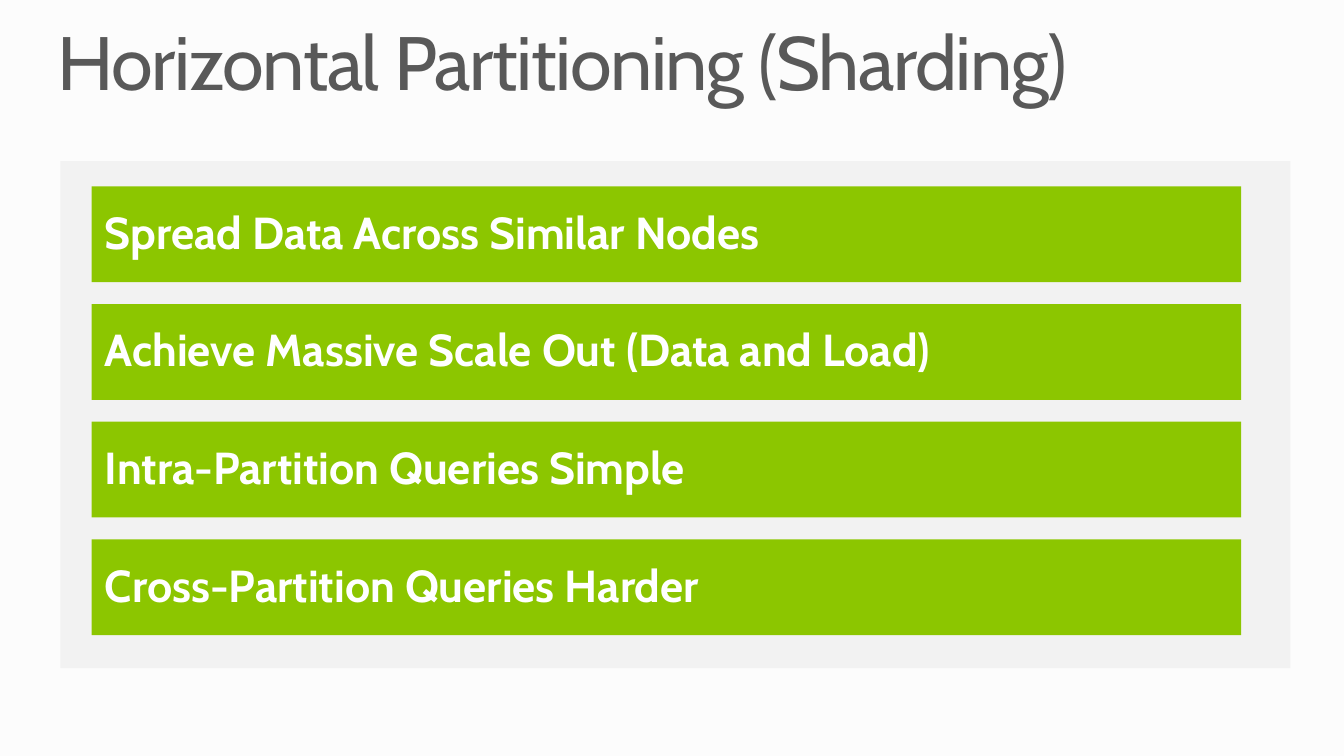
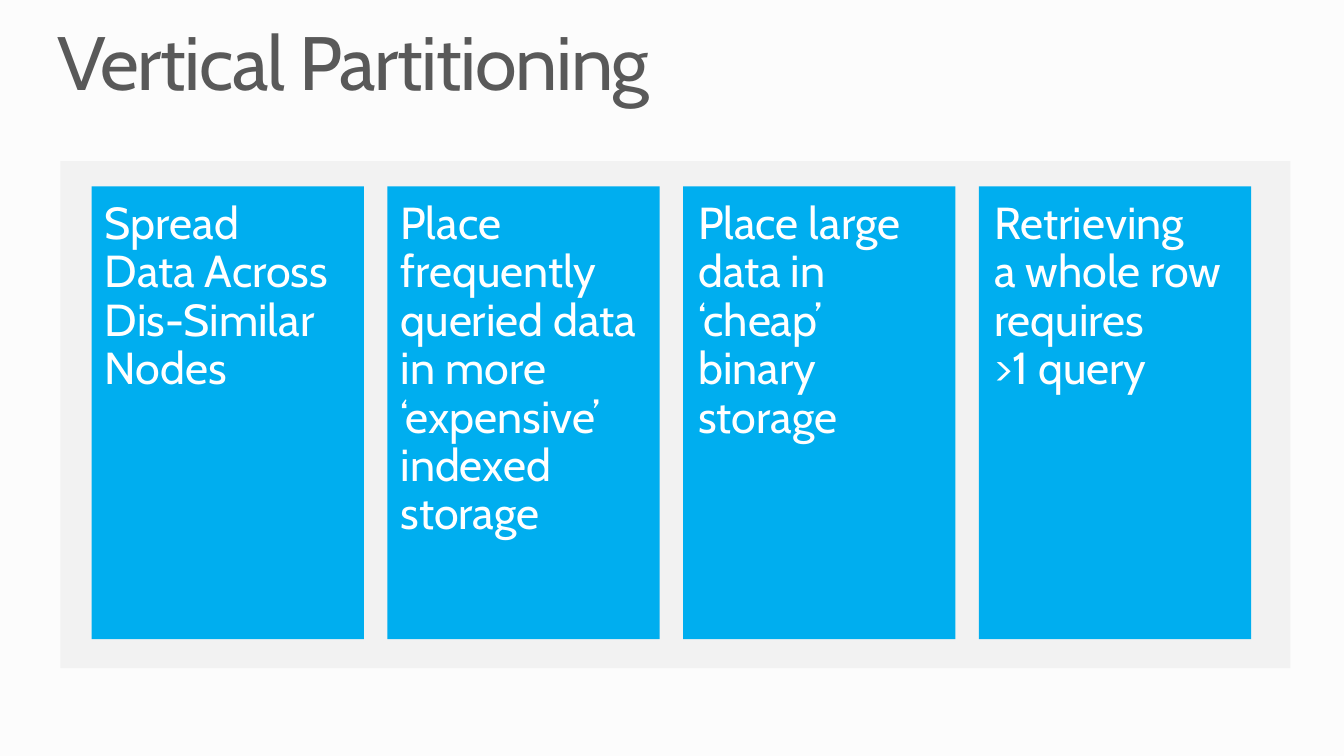
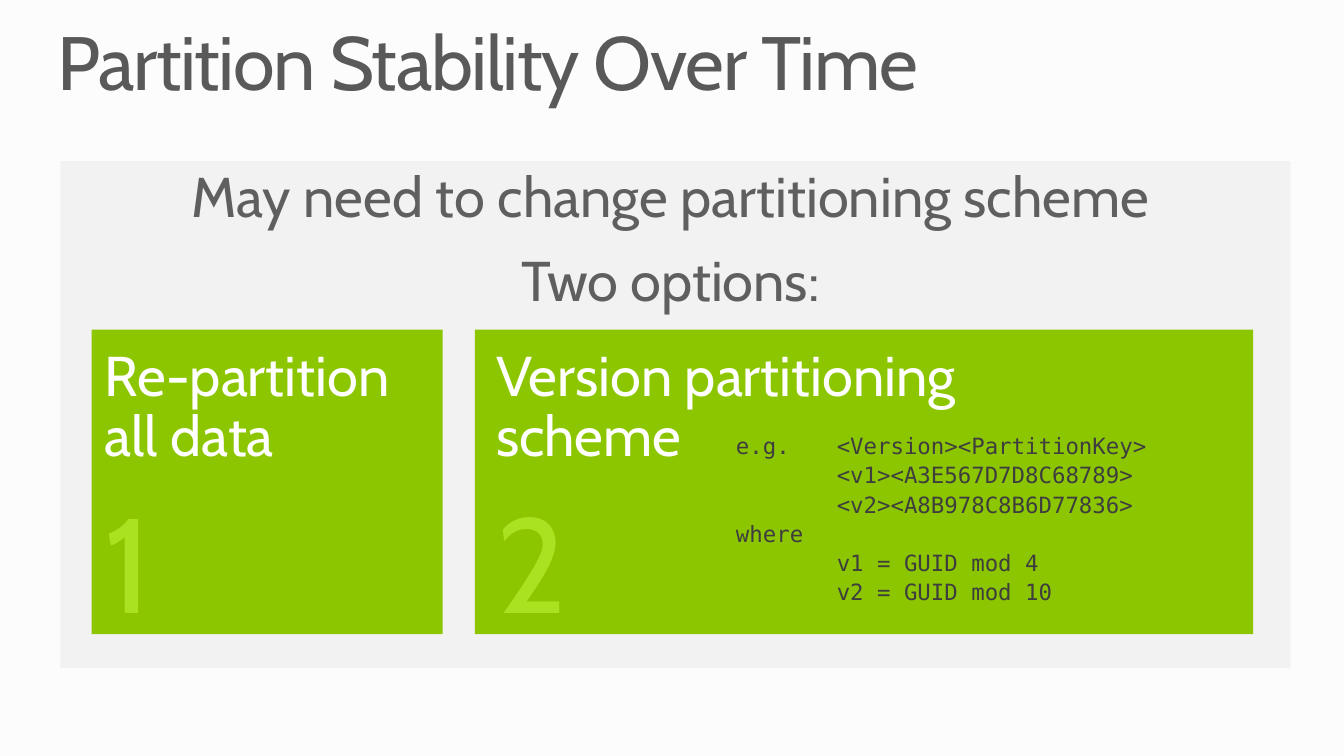
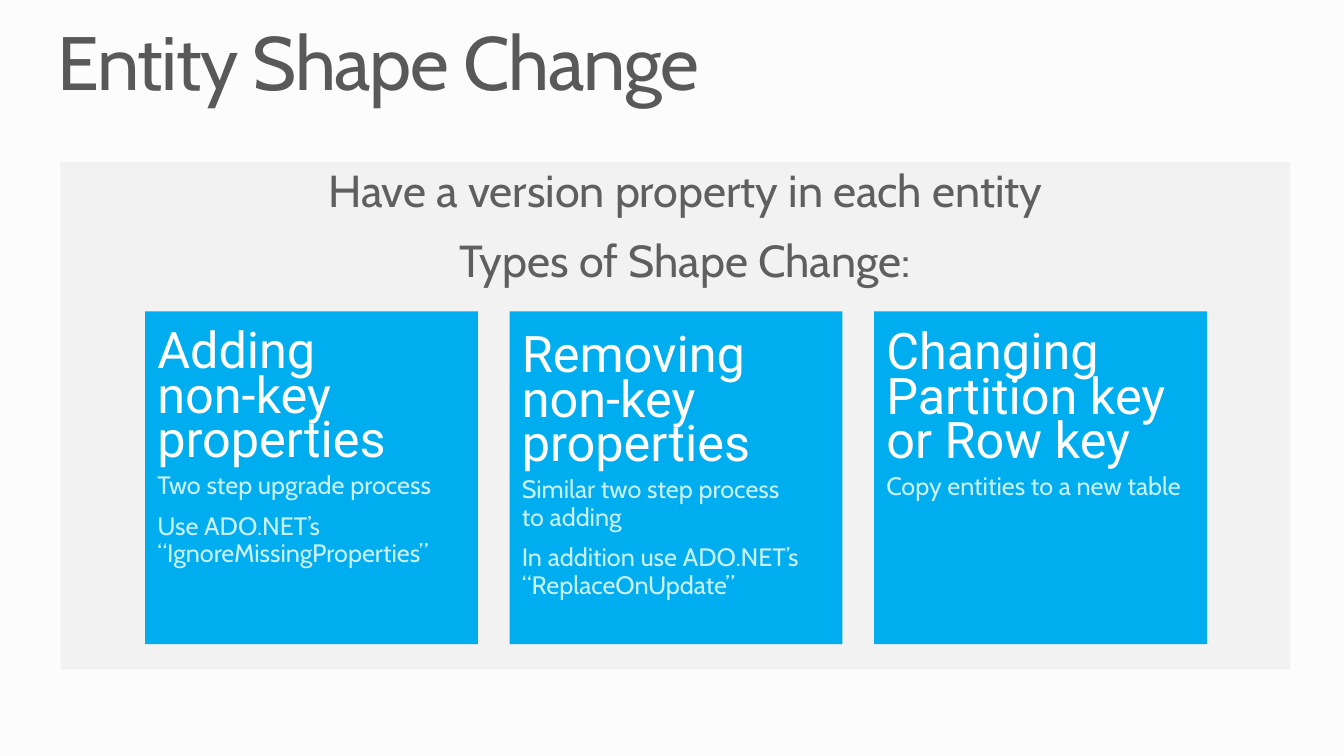
from collections.abc import Sequence
from dataclasses import dataclass, replace

from lxml.etree import SubElement
from pptx import Presentation
from pptx.dml.color import RGBColor
from pptx.enum.shapes import MSO_SHAPE
from pptx.enum.text import PP_ALIGN
from pptx.oxml.ns import qn
from pptx.presentation import Presentation as Deck
from pptx.slide import Slide
from pptx.util import Inches, Pt

BACKGROUND = "FCFCFC"
PANEL = "F2F2F2"
GREEN = "8CC600"
BLUE = "00AEEF"
WHITE = "FFFFFF"


@dataclass(frozen=True)
class Style:
    size: float
    color: str = WHITE
    font: str = "Cabin"
    bold: bool = False
    line_spacing: float | Pt = 0.9
    space_before: float = 0
    space_after: float = 0
    alignment: PP_ALIGN = PP_ALIGN.LEFT
    tracking: int = 0
    opacity: int = 100
    tab_stop: float = 0


@dataclass(frozen=True)
class Box:
    left: float
    top: float
    width: float
    height: float


@dataclass(frozen=True)
class Column:
    text: str
    text_offset: float
    text_width: float


@dataclass(frozen=True)
class Option:
    tile: Box
    text: str
    text_left: float
    text_width: float
    number: str


@dataclass(frozen=True)
class Change:
    heading: str
    details: tuple[str, ...]
    text_top: float


TITLE = Style(54, "595959", tracking=-100)
BAR_TEXT = Style(32, bold=True)
COLUMN_TEXT = Style(32)
OPTION_TEXT = Style(40)
NUMBER = Style(96, "C8FF44", opacity=50)
CODE = Style(16, "3E3E3E", "DejaVu Sans Mono", space_before=3.6, tab_stop=1)
INTRO = Style(40, "5F5F5F", line_spacing=1.0, space_before=12, alignment=PP_ALIGN.CENTER)
CHANGE_HEADING = Style(36, font="Roboto", line_spacing=Pt(32))
CHANGE_DETAIL = Style(18, "C9F0FF", space_before=3.6, space_after=6)

BARS = (
    "Spread Data Across Similar Nodes",
    "Achieve Massive Scale Out (Data and Load)",
    "Intra-Partition Queries Simple",
    "Cross-Partition Queries Harder",
)
COLUMNS = (
    Column("Spread Data Across Dis-Similar Nodes", 0.13, 2.28),
    Column("Place frequently queried data in more ‘expensive’ indexed storage", 0.13, 2.4),
    Column("Place large data in ‘cheap’ binary storage", 0.15, 2.4),
    Column("Retrieving\na whole row requires\n>1 query", 0.15, 2.33),
)
OPTIONS = (
    Option(Box(0.91, 3.27, 3.48, 3.02), "Re-partition all data", 1.04, 3.15, "1"),
    Option(Box(4.71, 3.27, 7.72, 3.02), "Version partitioning scheme", 4.92, 4.8, "2"),
)
CODE_LINES = (
    "e.g.\t<Version><PartitionKey>",
    "\t<v1><A3E567D7D8C68789>",
    "\t<v2><A8B978C8B6D77836>",
    "where",
    "\tv1 = GUID mod 4",
    "\tv2 = GUID mod 10",
)
CHANGES = (
    Change(
        "Adding\nnon-key properties",
        ("Two step upgrade process", "Use ADO.NET’s “IgnoreMissingProperties”"),
        3.31,
    ),
    Change(
        "Removing non-key properties",
        ("Similar two step process\nto adding", "In addition use ADO.NET’s “ReplaceOnUpdate”"),
        3.35,
    ),
    Change("Changing Partition key\nor Row key", ("Copy entities to a new table",), 3.32),
)


def rgb(color: str) -> RGBColor:
    return RGBColor.from_string(color)


def add_rectangle(slide: Slide, box: Box, color: str) -> None:
    shape = slide.shapes.add_shape(
        MSO_SHAPE.RECTANGLE, Inches(box.left), Inches(box.top), Inches(box.width), Inches(box.height)
    )
    shape.shadow.inherit = False
    shape.fill.solid()
    shape.fill.fore_color.rgb = rgb(color)
    shape.line.fill.background()


def add_text(slide: Slide, box: Box, *lines: tuple[str, Style]) -> None:
    shape = slide.shapes.add_textbox(
        Inches(box.left), Inches(box.top), Inches(box.width), Inches(box.height)
    )
    frame = shape.text_frame
    frame.word_wrap = True
    frame.margin_left = frame.margin_right = frame.margin_top = frame.margin_bottom = 0
    for index, (text, style) in enumerate(lines):
        paragraph = frame.add_paragraph() if index else frame.paragraphs[0]
        paragraph.text = text
        paragraph.alignment = style.alignment
        paragraph.line_spacing = style.line_spacing
        paragraph.space_before = Pt(style.space_before if index else 0)
        paragraph.space_after = Pt(style.space_after)
        if style.tab_stop:
            tabs = SubElement(paragraph._p.get_or_add_pPr(), qn("a:tabLst"))
            SubElement(tabs, qn("a:tab"), pos=str(Inches(style.tab_stop)), algn="l")
        font = paragraph.font
        font.name = style.font
        font.size = Pt(style.size)
        font.bold = style.bold
        font.color.rgb = rgb(style.color)
        if style.opacity < 100:
            for color in paragraph._p.iter(qn("a:srgbClr")):
                SubElement(color, qn("a:alpha"), val=str(style.opacity * 1000))
        if style.tracking:
            for run in paragraph.runs:
                run._r.get_or_add_rPr().set("spc", str(style.tracking))


def styled(lines: Sequence[str], style: Style) -> list[tuple[str, Style]]:
    return [(line, style) for line in lines]


def add_panel_slide(presentation: Deck, title: str, panel_top: float = 1.6) -> Slide:
    slide = presentation.slides.add_slide(presentation.slide_layouts[6])
    add_rectangle(slide, Box(0.6, panel_top, 12.2, 5.03), PANEL)
    add_text(slide, Box(0.57, 0.25, 12.19, 0.82), (title, TITLE))
    return slide


def build_horizontal(presentation: Deck) -> None:
    slide = add_panel_slide(presentation, "Horizontal Partitioning (Sharding)")
    pitch = (5.35 - 1.85) / (len(BARS) - 1)
    for index, text in enumerate(BARS):
        top = 1.85 + index * pitch
        add_rectangle(slide, Box(0.91, top, 11.4, 0.95), GREEN)
        add_text(slide, Box(1.04, top + 0.24, 10.95, 0.48), (text, BAR_TEXT))


def build_vertical(presentation: Deck) -> None:
    slide = add_panel_slide(presentation, "Vertical Partitioning")
    pitch = (9.71 - 0.91) / (len(COLUMNS) - 1)
    for index, column in enumerate(COLUMNS):
        left = 0.91 + index * pitch
        add_rectangle(slide, Box(left, 1.85, 2.7, 4.49), BLUE)
        text_box = Box(left + column.text_offset, 1.99, column.text_width, 3.39)
        add_text(slide, text_box, (column.text, COLUMN_TEXT))


def build_stability(presentation: Deck) -> None:
    slide = add_panel_slide(presentation, "Partition Stability Over Time")
    intro = ("May need to change partitioning scheme", "Two options:")
    add_text(slide, Box(0.55, 1.6, 12.2, 1.51), *styled(intro, INTRO))
    for option in OPTIONS:
        add_rectangle(slide, option.tile, GREEN)
        add_text(slide, Box(option.text_left, 3.45, option.text_width, 1.21), (option.text, OPTION_TEXT))
        add_text(slide, Box(option.text_left, 4.93, 1.43, 1.45), (option.number, NUMBER))
    add_text(slide, Box(7.3, 4.32, 4.46, 2.02), *styled(CODE_LINES, CODE))


def build_shape_change(presentation: Deck) -> None:
    slide = add_panel_slide(presentation, "Entity Shape Change", 1.61)
    intro = ("Have a version property in each entity", "Types of Shape Change:")
    add_text(slide, Box(0.7, 1.61, 12.2, 1.25), *styled(intro, replace(INTRO, size=32)))
    pitch = (8.67 - 1.44) / (len(CHANGES) - 1)
    for index, change in enumerate(CHANGES):
        left = 1.44 + index * pitch
        add_rectangle(slide, Box(left, 3.09, 3.3, 3.3), BLUE)
        add_text(
            slide,
            Box(left + 0.12, change.text_top, 3.18, 2.64),
            (change.heading, CHANGE_HEADING),
            *styled(change.details, CHANGE_DETAIL),
        )


def main() -> None:
    """Build the four data partitioning slides and save them."""
    presentation = Presentation()
    presentation.slide_width = Inches(13.33)
    presentation.slide_height = Inches(7.5)
    background = presentation.slide_master.background.fill
    background.solid()
    background.fore_color.rgb = rgb(BACKGROUND)
    build_horizontal(presentation)
    build_vertical(presentation)
    build_stability(presentation)
    build_shape_change(presentation)
    presentation.save("out.pptx")


if __name__ == "__main__":
    main()
